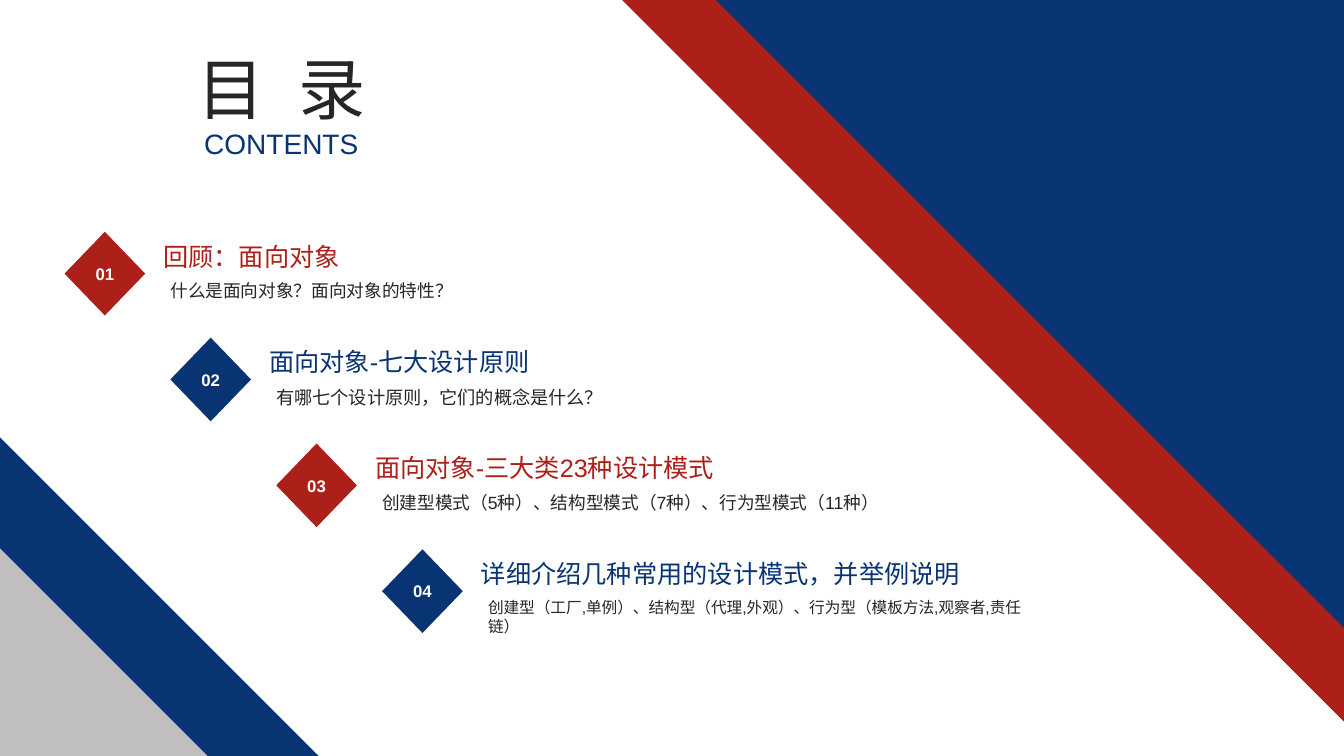
from dataclasses import dataclass

from pptx import Presentation
from pptx.dml.color import RGBColor
from pptx.enum.shapes import MSO_SHAPE
from pptx.enum.text import MSO_ANCHOR, PP_ALIGN
from pptx.util import Inches, Pt

TRIANGLE, DIAMOND = MSO_SHAPE.RIGHT_TRIANGLE, MSO_SHAPE.DIAMOND
LEFT, CENTER = PP_ALIGN.LEFT, PP_ALIGN.CENTER
TOP, MIDDLE, BOTTOM = MSO_ANCHOR.TOP, MSO_ANCHOR.MIDDLE, MSO_ANCHOR.BOTTOM
WIDTH, HEIGHT = 13.33, 7.5


@dataclass(frozen=True)
class Theme:
    """Colours, font and type sizes of the slide."""
    navy: str = "083473"
    red: str = "AD2019"
    grey: str = "BFBFBF"
    ink: str = "262626"
    white: str = "FFFFFF"
    font: str = "Arial"
    heading: float = 48
    subheading: float = 20
    topic: float = 18
    number: float = 12


THEME = Theme()
TOPICS = [
    ("回顾：面向对象", "什么是面向对象？面向对象的特性？", 12.6, 7),
    ("面向对象-七大设计原则", "有哪七个设计原则，它们的概念是什么？", 13, 7),
    ("面向对象-三大类23种设计模式",
     "创建型模式（5种）、结构型模式（7种）、行为型模式（11种）", 12.6, 7),
    ("详细介绍几种常用的设计模式，并举例说明",
     "创建型（工厂,单例）、结构型（代理,外观）、行为型（模板方法,观察者,责任链）", 11.2, 5.49),
]


def write(shape, text, size, color, align=LEFT, anchor=TOP, bold=False):
    """Write one styled paragraph into a shape and return it."""
    frame = shape.text_frame
    frame.word_wrap = True
    frame.margin_left = frame.margin_right = 0
    frame.vertical_anchor = anchor
    paragraph = frame.paragraphs[0]
    paragraph.text = text
    paragraph.alignment = align
    paragraph.font.name = THEME.font
    paragraph.font.size = Pt(size)
    paragraph.font.bold = bold
    paragraph.font.color.rgb = RGBColor.from_string(color)
    return paragraph


def add_text(slide, box, *style, **options):
    """Add a text box and return its paragraph."""
    return write(slide.shapes.add_textbox(*map(Inches, box)), *style, **options)


def add_solid(slide, kind, box, color):
    """Add a flat shape without outline or shadow."""
    shape = slide.shapes.add_shape(kind, *map(Inches, box))
    shape.shadow.inherit = False
    shape.fill.solid()
    shape.fill.fore_color.rgb = RGBColor.from_string(color)
    shape.line.fill.background()
    return shape


def add_corners(slide, width, height):
    """Layer triangles in the bottom left and top right corners."""
    for side, color in ((3.16, THEME.navy), (2.06, THEME.grey)):
        add_solid(slide, TRIANGLE, (0, height - side, side, side), color)
    for side, color in ((7.16, THEME.red), (6.23, THEME.navy)):
        corner = add_solid(slide, TRIANGLE, (width - side, 0, side, side), color)
        corner.rotation = 180


def add_heading(slide, left, top, width):
    """Place the slide heading above its English line."""
    heading = add_text(slide, (left, top, width, 1.02), "目 录", THEME.heading,
                       THEME.ink, align=CENTER, anchor=BOTTOM)
    heading.runs[0]._r.get_or_add_rPr().set("spc", "667")
    add_text(slide, (left, top + 0.91, width, 0.5), "CONTENTS",
             THEME.subheading, THEME.navy, align=CENTER)


def add_topic(slide, left, top, number, color, topic):
    """Place a numbered diamond with its title and detail."""
    title, detail, detail_size, width = topic
    diamond = add_solid(slide, DIAMOND, (left, top, 0.8, 0.83), color)
    write(diamond, f"{number:02}", THEME.number, THEME.white,
          align=CENTER, anchor=MIDDLE, bold=True)
    add_text(slide, (left + 1.05, top + 0.43, width, 0.33),
             detail, detail_size, THEME.ink)
    add_text(slide, (left + 0.98, top + 0.04, width, 0.38),
             title, THEME.topic, color)


def add_agenda(slide, left, top, step):
    """Step the topics diagonally down the slide in alternating colours."""
    colors = (THEME.red, THEME.navy)
    for index, topic in enumerate(TOPICS):
        add_topic(slide, left + index * step, top + index * step,
                  index + 1, colors[index % 2], topic)


def main():
    """Build and save the contents slide."""
    presentation = Presentation()
    presentation.slide_width = Inches(WIDTH)
    presentation.slide_height = Inches(HEIGHT)
    slide = presentation.slides.add_slide(presentation.slide_layouts[6])
    add_corners(slide, WIDTH, HEIGHT)
    add_heading(slide, 1.84, 0.3, 1.9)
    add_agenda(slide, 0.64, 2.3, 1.05)
    presentation.save("out.pptx")


if __name__ == "__main__":
    main()
